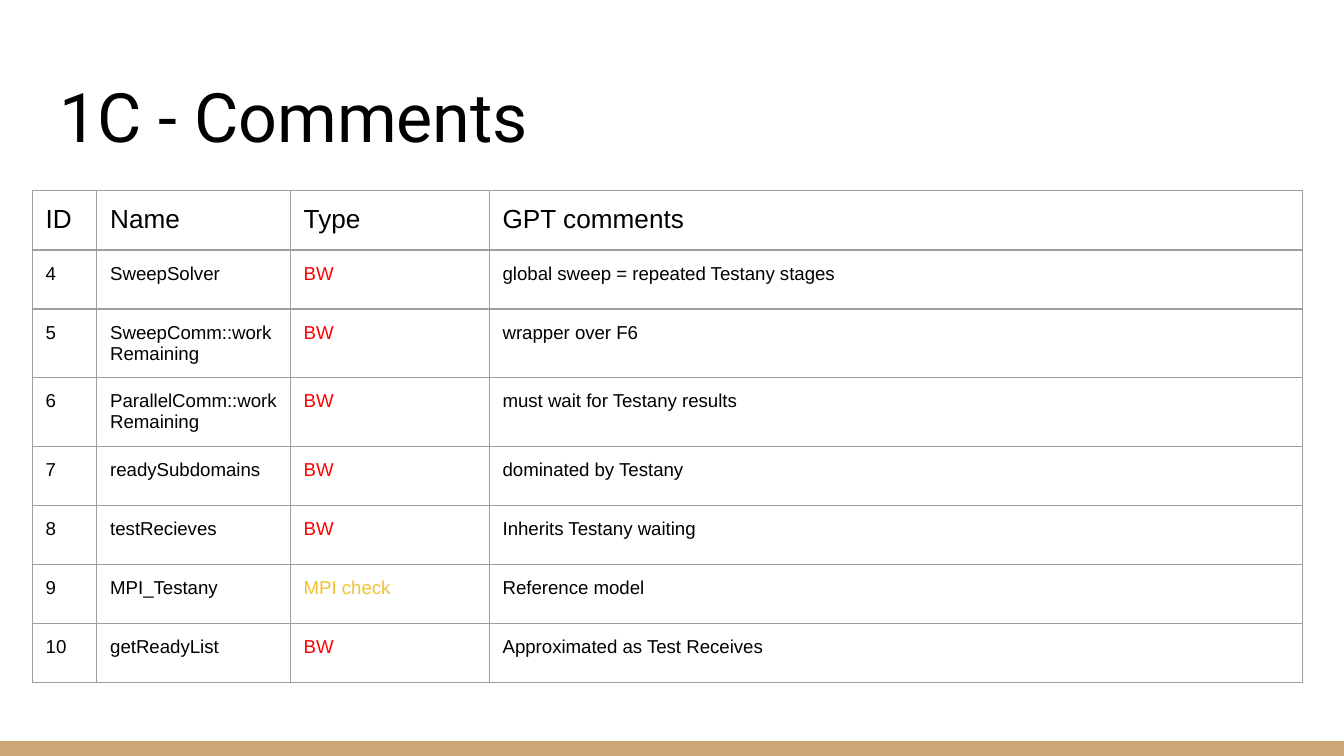
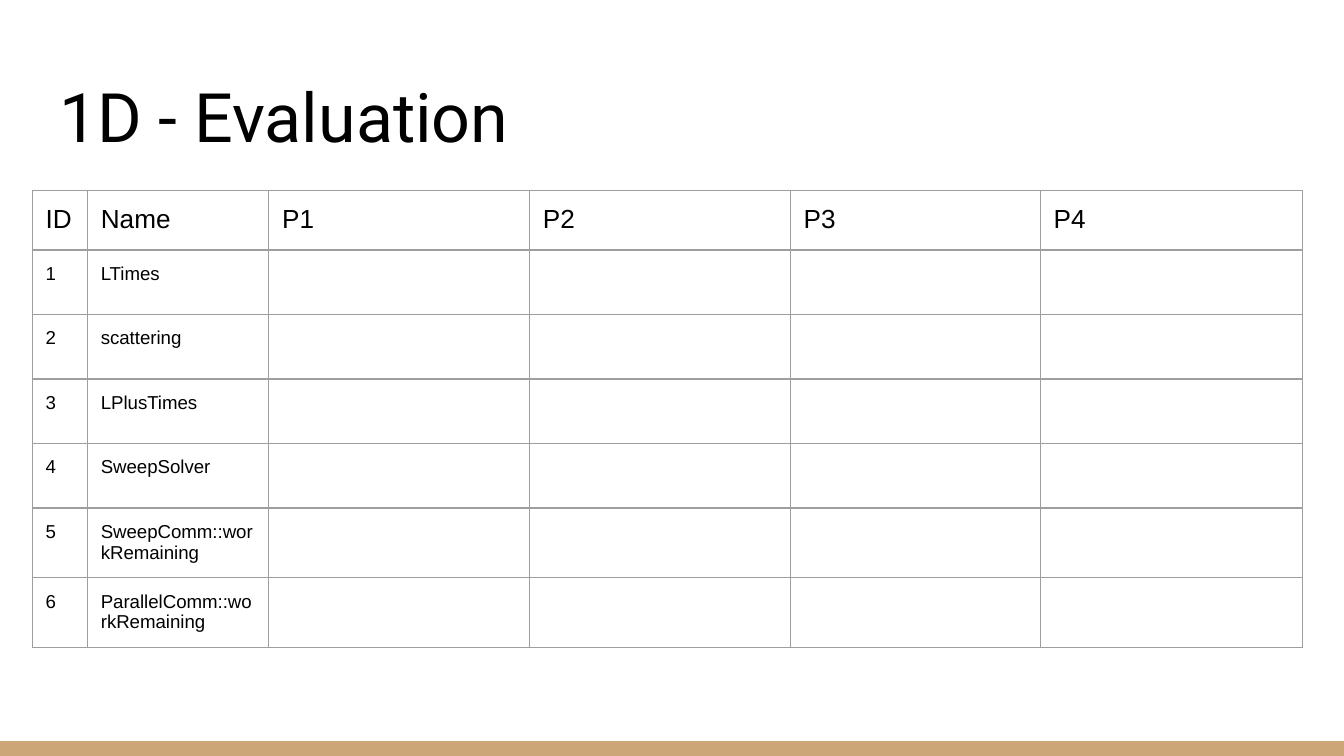
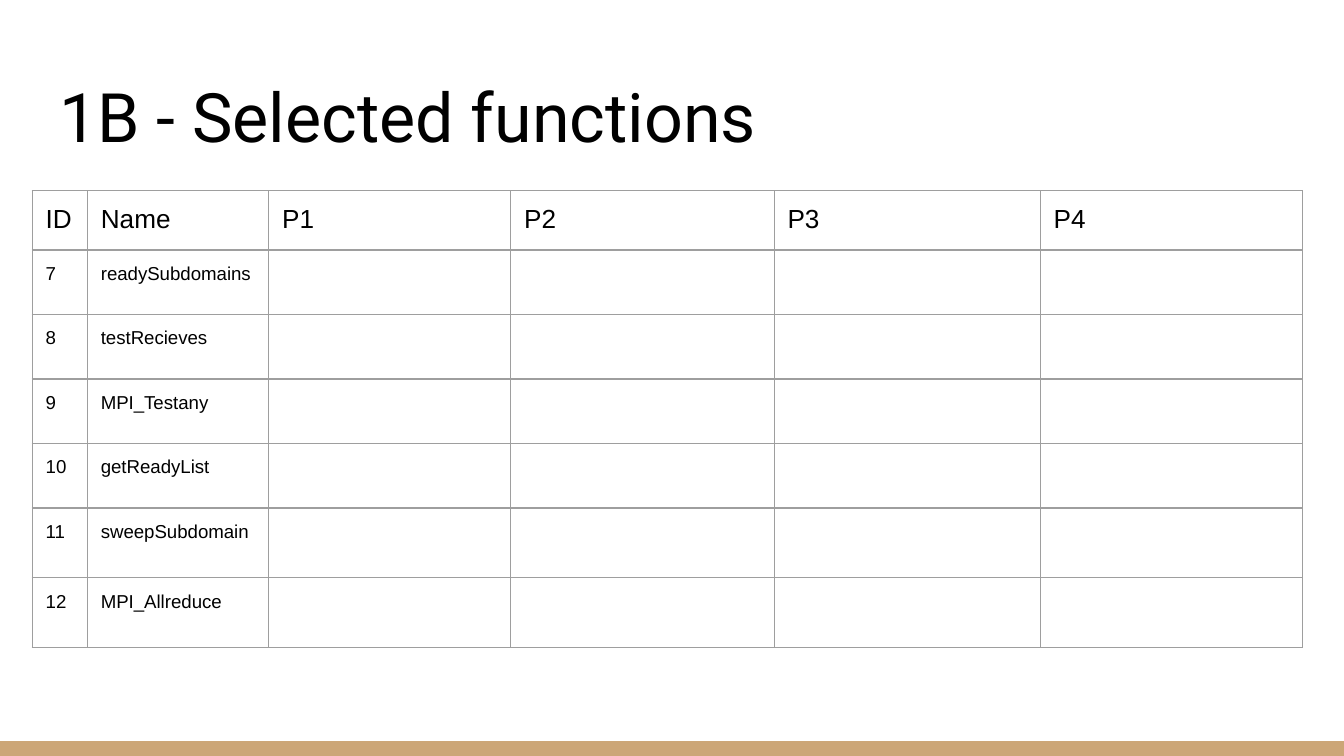
from dataclasses import dataclass

import lxml.etree
import pptx
import pptx.dml.color
import pptx.enum.shapes
import pptx.enum.text
import pptx.oxml.ns
import pptx.util

Inches = pptx.util.Inches
Pt = pptx.util.Pt
qn = pptx.oxml.ns.qn


@dataclass(frozen=True)
class Theme:
    ink: str = "000000"
    band: str = "CCA677"
    grid: str = "9E9E9E"
    bandwidth: str = "FF0000"
    mpi: str = "F1C232"
    title_font: str = "Roboto"
    body_font: str = "Arial"
    title_size: float = 36.5
    header_size: int = 14
    body_size: int = 10
    grid_width: float = 0.75


THEME = Theme()
TYPE_COLORS = {"BW": THEME.bandwidth, "MPI check": THEME.mpi}
SLIDE_WIDTH = Inches(10)
SLIDE_HEIGHT = SLIDE_WIDTH * 9 // 16
BAND_HEIGHT = Inches(0.11)
INSET = Inches(0.1)
TABLE_LEFT, TABLE_TOP = Inches(0.24), Inches(1.42)

COMMENT_COLUMNS = [0.48, 1.44, 1.48, 2.71, 3.34]
COMMENT_HEIGHTS = [0.44, 0.44, 0.51, 0.51, 0.44, 0.44, 0.44, 0.44]
COMMENTS = [
    ("ID", "Name", "Type", "GPT comments"),
    ("4", "SweepSolver", "BW", "global sweep = repeated Testany stages"),
    ("5", "SweepComm::workRemaining", "BW", "wrapper over F6"),
    ("6", "ParallelComm::workRemaining", "BW", "must wait for Testany results"),
    ("7", "readySubdomains", "BW", "dominated by Testany"),
    ("8", "testRecieves", "BW", "Inherits Testany waiting"),
    ("9", "MPI_Testany", "MPI check", "Reference model"),
    ("10", "getReadyList", "BW", "Approximated as Test Receives"),
]

SCORE_HEADER = ("ID", "Name", "P1", "P2", "P3", "P4")
SCORE_HEIGHTS = [0.44] + [0.48] * 4 + [0.52] * 2
EVALUATION_COLUMNS = [0.41, 1.35, 1.94, 1.94, 1.86, 1.95]
EVALUATED = ["LTimes", "scattering", "LPlusTimes", "SweepSolver",
             "SweepComm::workRemaining", "ParallelComm::workRemaining"]
SELECTION_COLUMNS = [0.41, 1.35, 1.8, 1.96, 1.98, 1.95]
SELECTED = ["readySubdomains", "testRecieves", "MPI_Testany",
            "getReadyList", "sweepSubdomain", "MPI_Allreduce"]


def rgb(color):
    return pptx.dml.color.RGBColor.from_string(color)


def style_runs(text_frame, font, size, color):
    for paragraph in text_frame.paragraphs:
        for run in paragraph.runs:
            run.font.name = font
            run.font.size = Pt(size)
            run.font.color.rgb = rgb(color)


def set_insets(target):
    target.margin_left = target.margin_right = INSET
    target.margin_top = target.margin_bottom = INSET


def add_layout_band(slide, layout):
    """Draw the bottom band and move it to the layout that all slides share."""
    band = slide.shapes.add_shape(
        pptx.enum.shapes.MSO_SHAPE.RECTANGLE, 0, SLIDE_HEIGHT - BAND_HEIGHT,
        SLIDE_WIDTH, BAND_HEIGHT)
    band.shadow.inherit = False
    band.fill.solid()
    band.fill.fore_color.rgb = rgb(THEME.band)
    band.line.fill.background()
    band.element.nvSpPr.cNvPr.set("id", "20")
    layout.shapes.element.append(band.element)


def set_title(slide, text):
    title = slide.shapes.title
    title.left, title.top = Inches(0.34), Inches(0.35)
    title.width, title.height = Inches(9.32), Inches(0.91)
    frame = title.text_frame
    frame.text = text
    frame.word_wrap = True
    frame.auto_size = pptx.enum.text.MSO_AUTO_SIZE.NONE
    frame.vertical_anchor = pptx.enum.text.MSO_ANCHOR.BOTTOM
    set_insets(frame)
    frame.paragraphs[0].alignment = pptx.enum.text.PP_ALIGN.LEFT
    style_runs(frame, THEME.title_font, THEME.title_size, THEME.ink)


def set_borders(cell):
    properties = cell._tc.get_or_add_tcPr()
    for position, side in enumerate(("a:lnL", "a:lnR", "a:lnT", "a:lnB")):
        edge = lxml.etree.Element(qn(side), w=str(Pt(THEME.grid_width)))
        fill = lxml.etree.SubElement(edge, qn("a:solidFill"))
        lxml.etree.SubElement(fill, qn("a:srgbClr"), val=THEME.grid)
        properties.insert(position, edge)


def fill_cell(cell, text, size):
    cell.text_frame.text = text
    set_insets(cell)
    if text:
        style_runs(cell.text_frame, THEME.body_font, size,
                   TYPE_COLORS.get(text, THEME.ink))
    else:
        # Keeps an empty cell from stretching its row.
        lxml.etree.SubElement(cell.text_frame.paragraphs[0]._p,
                              qn("a:endParaRPr"), sz=str(size * 100))


def add_grid_table(slide, rows, widths, heights):
    """Add a ruled table; a row's last text spans any columns left over."""
    table = slide.shapes.add_table(
        len(rows), len(widths), TABLE_LEFT, TABLE_TOP,
        Inches(sum(widths)), Inches(sum(heights))).table
    table.first_row = table.horz_banding = False
    for column, width in zip(table.columns, widths):
        column.width = Inches(width)
    for row, height in zip(table.rows, heights):
        row.height = Inches(height)
    for r, texts in enumerate(rows):
        size = THEME.body_size if r else THEME.header_size
        for c in range(len(widths)):
            cell = table.cell(r, c)
            cell.fill.background()
            set_borders(cell)
            fill_cell(cell, texts[c] if c < len(texts) else "", size)
        if len(texts) < len(widths):
            table.cell(r, len(texts) - 1).merge(table.cell(r, len(widths) - 1))


def score_rows(names, first_id):
    blanks = ("",) * (len(SCORE_HEADER) - 2)
    return [SCORE_HEADER] + [(str(number), name) + blanks
                             for number, name in enumerate(names, first_id)]


def main():
    deck = pptx.Presentation()
    deck.slide_width, deck.slide_height = SLIDE_WIDTH, SLIDE_HEIGHT
    layout = deck.slide_layouts[5]
    pages = [
        ("1C - Comments", COMMENTS, COMMENT_COLUMNS, COMMENT_HEIGHTS),
        ("1D - Evaluation", score_rows(EVALUATED, 1), EVALUATION_COLUMNS, SCORE_HEIGHTS),
        ("1B - Selected functions", score_rows(SELECTED, 7), SELECTION_COLUMNS,
         SCORE_HEIGHTS),
    ]
    for number, (title, rows, widths, heights) in enumerate(pages):
        slide = deck.slides.add_slide(layout)
        if number == 0:
            add_layout_band(slide, layout)
        set_title(slide, title)
        add_grid_table(slide, rows, widths, heights)
    deck.save("out.pptx")


if __name__ == "__main__":
    main()
